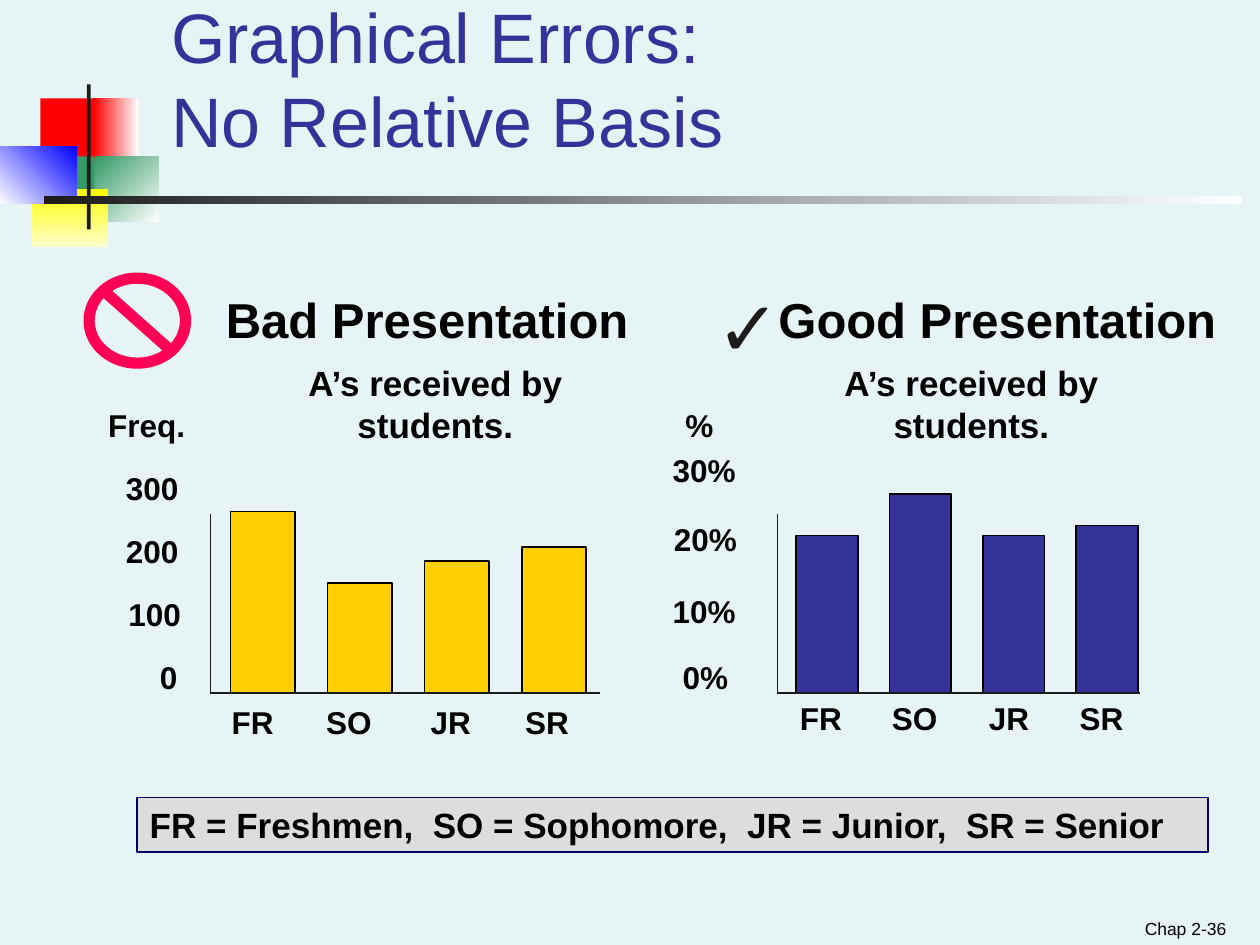
from lxml import etree
from pptx import Presentation
from pptx import util as u
from pptx.dml.color import RGBColor
from pptx.enum import shapes, text
from pptx.oxml.ns import qn

FONT = "Arial"
BLACK, DARK, INDIGO, GOLD = "000000", "1C1C1C", "333399", "FFCF01"
BASELINE = 5.5
AXIS_TOP = 4.08
LABEL_HEIGHT = 0.4
YEARS = [("FR", 0.53), ("SO", 0.56), ("JR", 0.52), ("SR", 0.55)]


def color(hex_string):
    return RGBColor.from_string(hex_string)


class SlideBuilder:
    """Holds the style and the current slide."""

    def __init__(self, slide, background):
        self.slide = slide
        slide.background.fill.solid()
        slide.background.fill.fore_color.rgb = color(background)

    def add_words(self, frame, content, size, ink=BLACK, bold=True, align="LEFT",
                  anchor="TOP", wrap=True):
        frame.word_wrap = wrap
        frame.vertical_anchor = text.MSO_ANCHOR[anchor]
        frame.margin_left = frame.margin_right = u.Inches(0.1)
        frame.margin_top = frame.margin_bottom = u.Inches(0.05)
        paragraph = frame.paragraphs[0]
        paragraph.alignment = text.PP_ALIGN[align]
        for index, line in enumerate(content.split("\n")):
            if index:
                paragraph.add_line_break()
            run = paragraph.add_run()
            run.text = line
            run.font.name = FONT
            run.font.size = u.Pt(size)
            run.font.bold = bold
            run.font.color.rgb = color(ink)

    def label(self, box, content, size=18, **style):
        shape = self.slide.shapes.add_textbox(*map(u.Inches, box))
        self.add_words(shape.text_frame, content, size, **style)

    def block(self, box, fill, line=None, preset="RECTANGLE"):
        kind = shapes.MSO_SHAPE[preset]
        shape = self.slide.shapes.add_shape(kind, *map(u.Inches, box))
        shape.shadow.inherit = False
        shape.fill.solid()
        shape.fill.fore_color.rgb = color(fill)
        if line:
            shape.line.color.rgb = color(line)
            shape.line.width = u.Pt(1)
        else:
            shape.line.fill.background()
        return shape

    def gradient(self, box, start, end, clockwise=0):
        fill = self.block(box, start).fill
        fill.gradient()
        fill.gradient_angle = (360 - clockwise) % 360
        for stop, position, tint in zip(fill.gradient_stops, (0, 1), (start, end)):
            stop.position = position
            stop.color.rgb = color(tint)

    def line(self, start, end):
        connector = self.slide.shapes.add_connector(
            shapes.MSO_CONNECTOR.STRAIGHT, *map(u.Inches, start + end))
        connector.line.color.rgb = color(DARK)
        connector.line.width = u.Pt(1)
        properties = connector._element.spPr
        etree.SubElement(properties, qn("a:effectLst"))

    def bar_graph(self, origin, axis_end, first_bar, step, width, heights, fill,
                  year_lefts, year_top, scale):
        # Bars stand on the shared baseline
        for index, height in enumerate(heights):
            left = first_bar + index * step
            self.block((left, BASELINE - height, width, height), fill, BLACK)
        # Axes
        self.line((origin, AXIS_TOP), (origin, BASELINE))
        self.line((origin, BASELINE), (axis_end, BASELINE))
        # Year and scale labels
        for (year, label_width), left in zip(YEARS, year_lefts):
            self.label((left, year_top, label_width, LABEL_HEIGHT), year, wrap=False)
        for content, left, top, label_width, wrap in scale:
            self.label((left, top, label_width, LABEL_HEIGHT), content, wrap=wrap)


def main():
    presentation = Presentation()
    presentation.slide_width = u.Inches(10)
    presentation.slide_height = u.Inches(7.5)
    slide = presentation.slides.add_slide(presentation.slide_layouts[6])
    builder = SlideBuilder(slide, "E7F4F5")

    # Corner ornament and rule
    builder.block((0.32, 0.78, 0.48, 0.52), "FF0000")
    builder.gradient((0.74, 0.78, 0.36, 0.52), "FF0000", "FFFFFF")
    builder.gradient((0.75, 1.24, 0.51, 0.52), "339966", "FFFFFF", 45)
    builder.block((0.43, 1.24, 0.32, 0.52), "339966")
    builder.gradient((0.25, 1.5, 0.61, 0.46), "FFFF00", "FFFFCC", 90)
    builder.gradient((0, 1.16, 0.61, 0.46), "FFFFFF", "0000FF", 315)
    builder.block((0.69, 0.67, 0.03, 1.15), DARK)
    builder.gradient((0.35, 1.56, 9.51, 0.06), DARK, "FFFFFF")

    # Page number and title
    builder.label((7.5, 7.15, 2.33, 0.35), "Chap 2-36", 10, bold=False,
                  align="RIGHT", anchor="BOTTOM")
    builder.label((1.26, 0.25, 8.07, 1.08), "Graphical Errors: \nNo Relative Basis",
                  40, ink=INDIGO, bold=False, anchor="BOTTOM")

    # Headings and graph captions
    for left, width, heading in ((1.17, 4.44, "Bad Presentation"),
                                 (5.67, 4.49, "Good Presentation")):
        builder.label((left, 2.25, width, 0.56), heading, 28, align="CENTER")
    for left, width in ((2.15, 2.61), (6.49, 2.44)):
        builder.label((left, 2.82, width, 0.76), "A’s received by students.", 20,
                      align="CENTER")

    # Bad and good signs
    sign = builder.block((0.67, 2.17, 0.84, 0.75), "FF0054", "FF0054", "NO_SYMBOL")
    sign.adjustments[0] = 0.1
    builder.label((5.59, 2.17, 0.91, 0.83), "✓", 44, ink=DARK, bold=False)

    # Graph of counts
    builder.bar_graph(
        origin=1.67, axis_end=4.76, first_bar=1.83, step=0.77, width=0.51,
        heights=(1.44, 0.87, 1.05, 1.16), fill=GOLD,
        year_lefts=(1.74, 2.49, 3.32, 4.07), year_top=5.53,
        scale=(("Freq.", 0.76, 3.17, 0.81, False), ("300", 0.9, 3.67, 0.86, True),
               ("200", 0.9, 4.17, 0.92, True), ("100", 0.92, 4.67, 0.92, True),
               ("0", 1.17, 5.17, 0.34, False)))

    # Graph of percentages
    builder.bar_graph(
        origin=6.17, axis_end=9.05, first_bar=6.32, step=0.74, width=0.49,
        heights=(1.25, 1.58, 1.25, 1.33), fill=INDIGO,
        year_lefts=(6.25, 6.98, 7.75, 8.47), year_top=5.5,
        scale=(("%", 5.34, 3.17, 0.42, False), ("30%", 5.24, 3.53, 0.7, False),
               ("20%", 5.25, 4.08, 0.7, False), ("10%", 5.24, 4.65, 0.7, False),
               ("0%", 5.32, 5.17, 0.56, False)))

    # Key to the years
    key = builder.block((1.09, 6.33, 8.5, 0.43), "DDDDDD", "000066")
    builder.add_words(key.text_frame,
                      "FR = Freshmen,  SO = Sophomore,  JR = Junior,  SR = Senior", 20)

    presentation.save("out.pptx")


if __name__ == "__main__":
    main()
